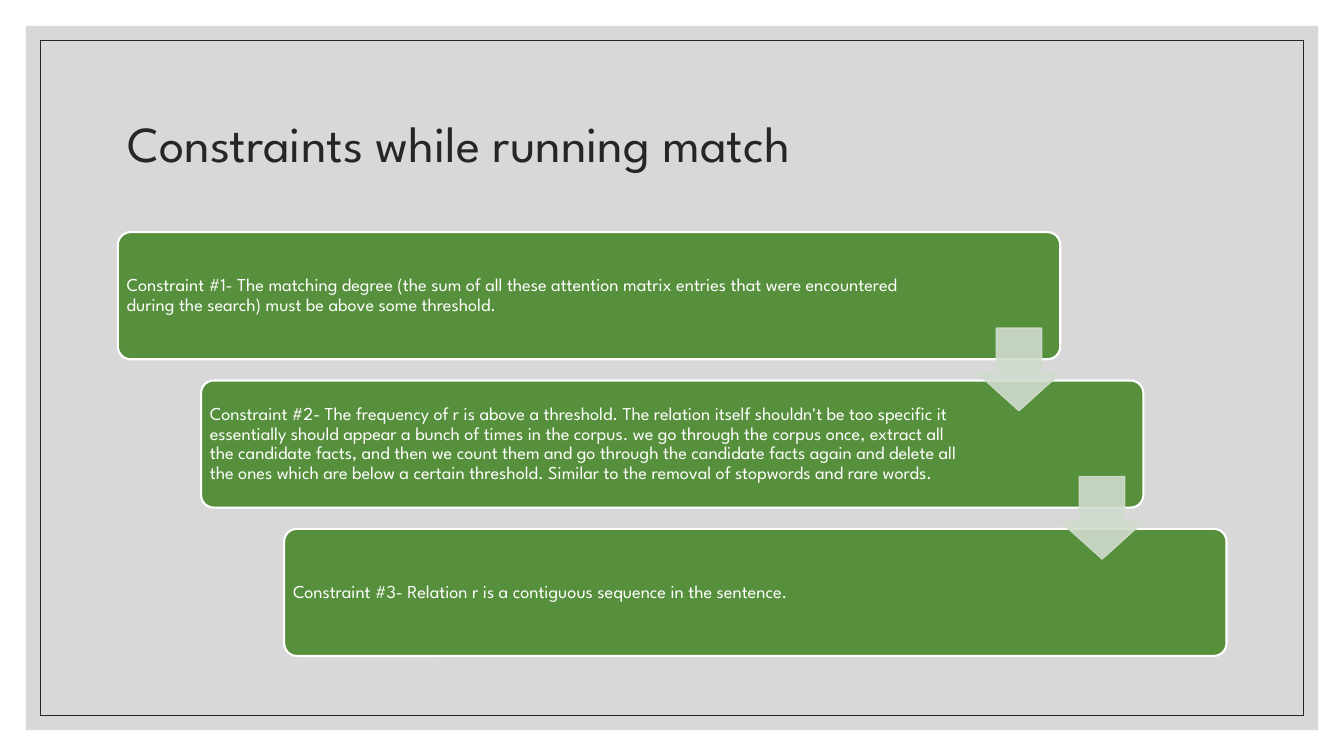
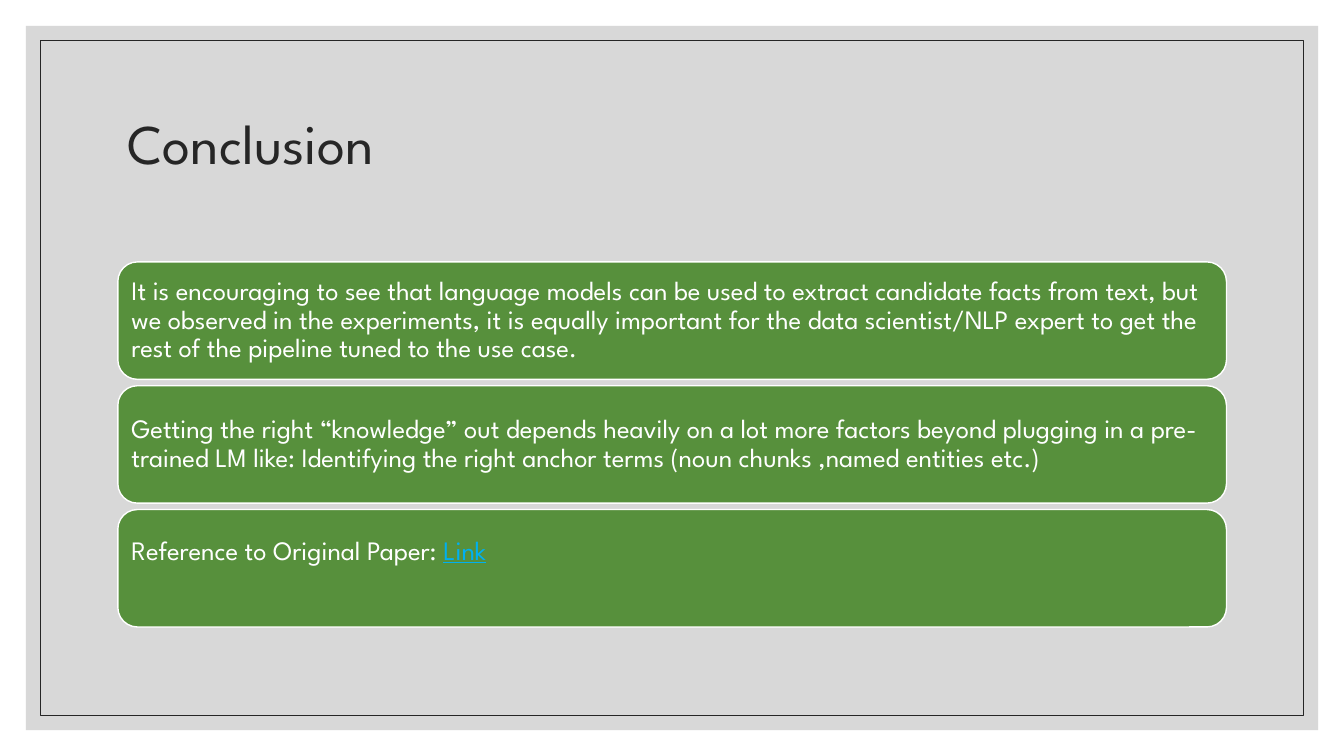
"""Build two slides: stepped constraint cards and stacked conclusion cards."""
from collections import namedtuple

from lxml import etree
from pptx import Presentation
from pptx.dml.color import RGBColor
from pptx.enum.shapes import MSO_SHAPE
from pptx.enum.text import MSO_ANCHOR, PP_ALIGN
from pptx.oxml.ns import qn
from pptx.util import Cm, Pt

RECTANGLE = MSO_SHAPE.RECTANGLE
ROUNDED = MSO_SHAPE.ROUNDED_RECTANGLE
DOWN_ARROW = MSO_SHAPE.DOWN_ARROW
MIDDLE = MSO_ANCHOR.MIDDLE
LEFT = PP_ALIGN.LEFT

FONT = "League Spartan"
COLOURS = {
    "panel": "BFBFBF",
    "ink": "262626",
    "card": "57903C",
    "white": "FFFFFF",
    "arrow": "D0DBCD",
    "link": "00B0F0",
}

Box = namedtuple("Box", "left top width height")

SLIDE_WIDTH, SLIDE_HEIGHT = 33.87, 19.05
PANEL_MARGIN, BORDER_MARGIN = 0.65, 1.03
TITLE_BOX = Box(2.97, 1.78, 27.94, 3.81)
STEPS_BOX = Box(2.97, 5.85, 27.94, 10.68)
STACK_BOX = Box(2.97, 6.6, 27.94, 9.2)

CONSTRAINTS = [
    ("Constraint #1- The matching degree (the sum of all these attention matrix "
     "entries that were encountered during the search) must be above some threshold.", 3.4),
    ("Constraint #2- The frequency of r is above a threshold. The relation itself "
     "shouldn't be too specific it essentially should appear a bunch of times in the "
     "corpus. we go through the corpus once, extract all the candidate facts, and then "
     "we count them and go through the candidate facts again and delete all the ones "
     "which are below a certain threshold. Similar to the removal of stopwords and rare "
     "words.", 4.29),
    ("Constraint #3- Relation r is a contiguous sequence in the sentence.", 4.29),
]
CONCLUSIONS = [
    "It is encouraging to see that language models can be used to extract candidate "
    "facts from text, but we observed in the experiments, it is equally important for "
    "the data scientist/NLP expert to get the rest of the pipeline tuned to the use case.",
    "Getting the right “knowledge” out depends heavily on a lot more factors beyond "
    "plugging in a pre-trained LM like: Identifying the right anchor terms (noun chunks "
    ",named entities etc.)",
    "Reference to Original Paper: ",
]


def colour(name):
    """Return the named palette colour."""
    return RGBColor.from_string(COLOURS[name])


def lengths(box):
    """Convert a box in centimetres to slide lengths."""
    return [Cm(value) for value in box]


def add_block(slide, kind, box, fill=None, line=None, line_width=1, adjustments=()):
    """Add a flat preset shape."""
    shape = slide.shapes.add_shape(kind, *lengths(box))
    shape.shadow.inherit = False
    for index, value in enumerate(adjustments):
        shape.adjustments[index] = value
    if fill:
        shape.fill.solid()
        shape.fill.fore_color.rgb = colour(fill)
    else:
        shape.fill.background()
    if line:
        shape.line.color.rgb = colour(line)
        shape.line.width = Pt(line_width)
    else:
        shape.line.fill.background()
    return shape


def set_opacity(shape, percent):
    """Make the fill and line of a shape partly transparent."""
    for element in shape._element.spPr.iter(qn("a:srgbClr")):
        etree.SubElement(element, qn("a:alpha")).set("val", str(percent * 1000))


def style_run(run, size, colour_name):
    """Apply the deck font to a run."""
    run.font.name = FONT
    run.font.size = Pt(size)
    run.font.color.rgb = colour(colour_name)


def write_text(shape, text, size, colour_name, insets):
    """Write one left-aligned, vertically centred paragraph and return it."""
    frame = shape.text_frame
    frame.word_wrap = True
    frame.vertical_anchor = MIDDLE
    frame.margin_left, frame.margin_top, frame.margin_right, frame.margin_bottom = lengths(insets)
    paragraph = frame.paragraphs[0]
    paragraph.text = text
    paragraph.alignment = LEFT
    paragraph.line_spacing = 0.9
    style_run(paragraph.runs[0], size, colour_name)
    return paragraph


def inset_box(margin):
    """Return the slide area inside an equal margin."""
    return Box(margin, margin, SLIDE_WIDTH - 2 * margin, SLIDE_HEIGHT - 2 * margin)


def add_framed_slide(presentation, title, title_size):
    """Add a slide with the shared panel, border and title."""
    slide = presentation.slides.add_slide(presentation.slide_layouts[6])
    panel = add_block(slide, RECTANGLE, inset_box(PANEL_MARGIN), fill="panel")
    set_opacity(panel, 60)
    add_block(slide, RECTANGLE, inset_box(BORDER_MARGIN), line="ink", line_width=0.75)
    title_shape = slide.shapes.add_textbox(*lengths(TITLE_BOX))
    write_text(title_shape, title, title_size, "ink", (0.25, 0.13, 0.25, 0.13))
    return slide


def add_steps(slide, box, constraints):
    """Add cards stepping down to the right, joined by overlapping arrows."""
    card_width, card_height = box.width * 0.85, box.height * 0.3
    gaps = len(constraints) - 1
    step_x = (box.width - card_width) / gaps
    step_y = (box.height - card_height) / gaps
    arrow_size, arrow_drop = 2.08, 2.42
    cards = [Box(box.left + index * step_x, box.top + index * step_y, card_width, card_height)
             for index in range(len(constraints))]
    for card, (text, right_inset) in zip(cards, constraints):
        shape = add_block(slide, ROUNDED, card, "card", "white", 1.5, [0.1])
        write_text(shape, text, 13, "white", (0.13, 0.13, right_inset, 0.13))
    for card in cards[:-1]:
        arrow_box = Box(card.left + card_width - arrow_size, card.top + arrow_drop,
                        arrow_size, arrow_size)
        arrow = add_block(slide, DOWN_ARROW, arrow_box, "arrow", "arrow", 1, [0.55, 0.45])
        set_opacity(arrow, 90)


def add_stack(slide, box, texts, link_text):
    """Add equal stacked cards, the last one ending in a link label."""
    gap, inset, link_lift = 0.16, 0.2, 0.81
    card_height = (box.height - gap * (len(texts) - 1)) / len(texts)
    for index, text in enumerate(texts):
        card = Box(box.left, box.top + index * (card_height + gap), box.width, card_height)
        shape = add_block(slide, ROUNDED, card, "card", "white", 1, [0.167])
        paragraph = write_text(shape, text, 19, "white", [inset] * 4)
    shape.text_frame.margin_bottom = Cm(inset + link_lift)
    link = paragraph.add_run()
    link.text = link_text
    style_run(link, 19, "link")
    link.font.underline = True


def main():
    """Build and save the presentation."""
    presentation = Presentation()
    presentation.slide_width = Cm(SLIDE_WIDTH)
    presentation.slide_height = Cm(SLIDE_HEIGHT)
    constraints_slide = add_framed_slide(presentation, "Constraints while running match", 36)
    add_steps(constraints_slide, STEPS_BOX, CONSTRAINTS)
    conclusion_slide = add_framed_slide(presentation, "Conclusion", 40)
    add_stack(conclusion_slide, STACK_BOX, CONCLUSIONS, "Link")
    presentation.save("out.pptx")


if __name__ == "__main__":
    main()
